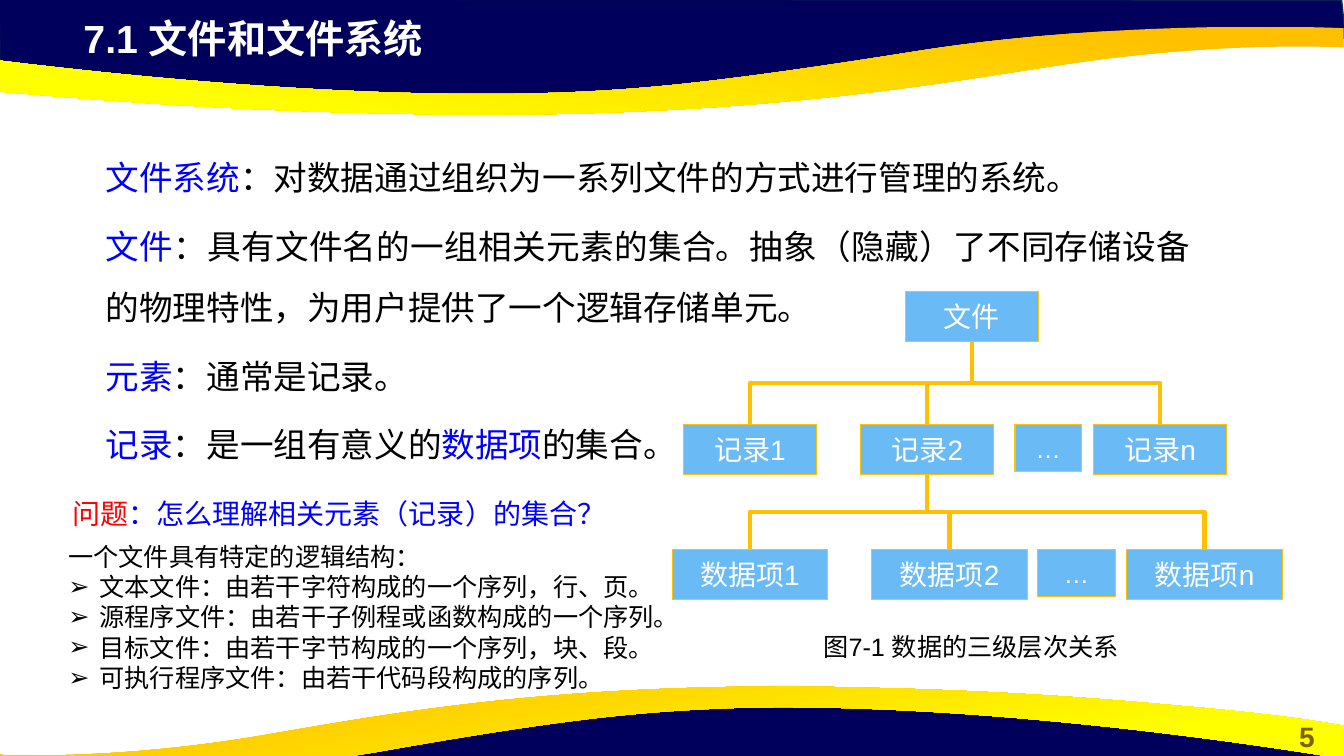
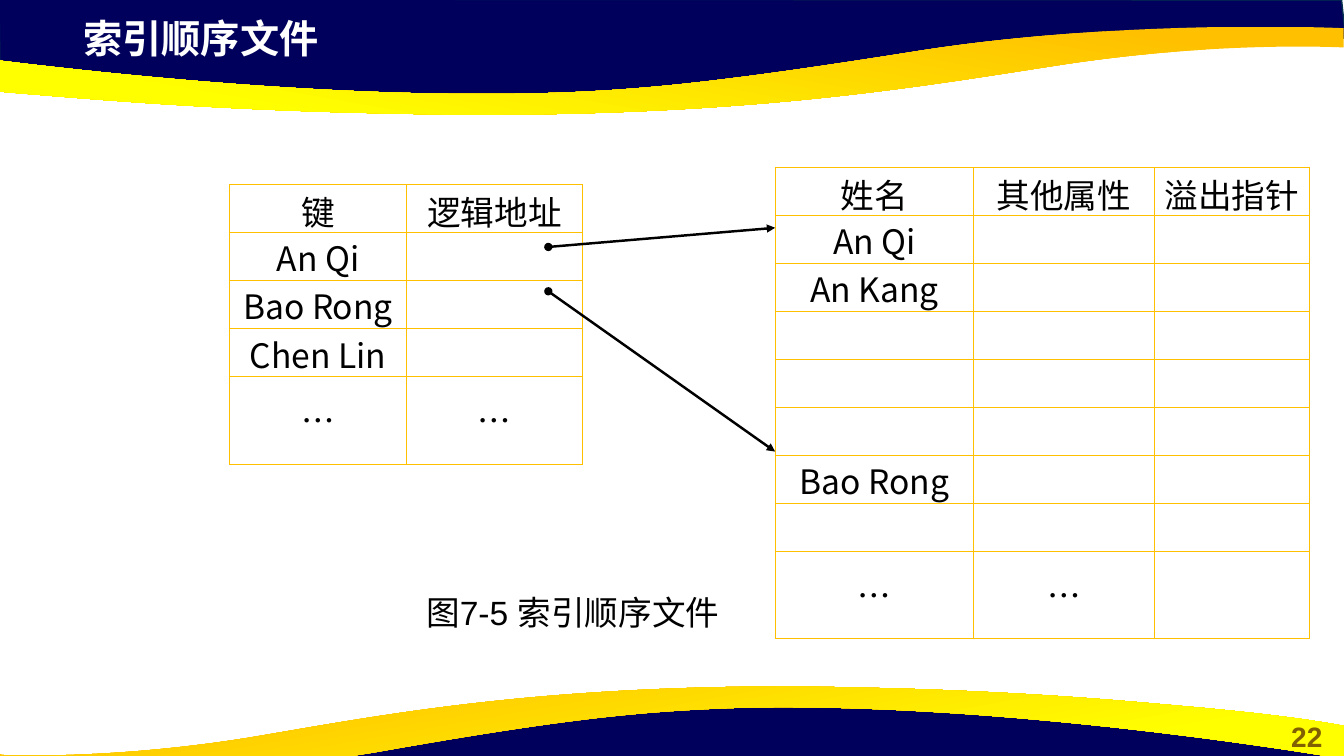
"""Build two lecture slides on files and file systems."""
from dataclasses import dataclass

from lxml.etree import SubElement
from pptx import Presentation
from pptx.dml.color import RGBColor as RGB
from pptx.enum.shapes import MSO_CONNECTOR as CONN, MSO_SHAPE as SHAPE
from pptx.enum.text import MSO_ANCHOR as ANCHOR, MSO_AUTO_SIZE as AUTO, PP_ALIGN as ALIGN
from pptx.oxml.ns import qn
from pptx.util import Pt

PX = 9144


@dataclass(frozen=True)
class Theme:
    navy: str = "00005C"
    navy_line: str = "05304F"
    gold: str = "FFC000"
    yellow: str = "FFFF00"
    node: str = "6ABBF5"
    white: str = "FFFFFF"
    black: str = "000000"
    blue: str = "0000FF"
    red: str = "FF0000"
    brown: str = "806000"
    latin: str = "Arial"
    sans: str = "Noto Sans CJK SC"
    title: int = 28
    body: int = 24
    label: int = 20
    small: int = 18


T = Theme()

NAVY_BANDS = [
    [(-1, -1), (0, 70), (293, 102), (559, 100), (795, 88), (1016, 50),
     (1238, 33), (1335, 38), (1331, 0), (-1, -1)],
    [(1333, 794), (1332, 724), (1040, 691), (773, 693), (538, 706), (317, 743),
     (95, 760), (-3, 756), (1, 793), (1333, 794)],
]
GOLD_BANDS = [
    (260, [(483, 114), (443, 114, 401, 113, 356, 112), (206, 108, 110, 100, 36, 94),
           (-88, 84, -130, 75, -133, 75), (-133, 42, -133, 42, -133, 42),
           (-133, 42, 218, 98, 517, 93), (626, 91, 708, 83, 915, 50),
           (1121, 18, 1333, 28, 1333, 28), (1333, 32), (1333, 47), (1330, 47),
           (1305, 46, 1195, 43, 1055, 64), (918, 85, 762, 113, 483, 114)]),
    (280, [(772, 681), (809, 681, 847, 682, 888, 683), (1025, 687, 1112, 695, 1179, 701),
           (1292, 711, 1330, 720, 1333, 720), (1333, 753, 1333, 753, 1333, 753),
           (1333, 753, 1014, 697, 742, 702), (642, 705, 567, 712, 380, 745),
           (192, 778, -1, 768, -1, 768), (-1, 764), (-1, 748), (2, 749),
           (25, 750, 125, 752, 252, 731), (376, 710, 519, 682, 772, 681)]),
]


def write(tf, paras, size, font=T.latin, bold=False, bullet_from=99, **fmt):
    """Fill a text frame with paragraphs of (text, colour) runs."""
    for i, runs in enumerate(paras):
        p = tf.paragraphs[0] if i == 0 else tf.add_paragraph()
        if i >= bullet_from:
            pPr = p._p.get_or_add_pPr()
            pPr.set("marL", str(31 * PX))
            pPr.set("indent", str(-31 * PX))
            SubElement(pPr, qn("a:buFont")).set("typeface", T.latin)
            SubElement(pPr, qn("a:buChar")).set("char", "➢")
        for key, val in fmt.items():
            setattr(p, key, val)
        for text, color in runs:
            r = p.add_run()
            r.text = text
            for key, val in {"size": Pt(size), "bold": bold, "name": font}.items():
                setattr(r.font, key, val)
            r.font.color.rgb = RGB.from_string(color)
            rPr = r._r.get_or_add_rPr()
            rPr.set("lang", "zh-CN")
            SubElement(rPr, qn("a:ea")).set("typeface", T.sans if text == "…" else T.latin)


def new_slide(prs, title, number, boxes):
    """Add a slide with bands, title, page number and text boxes."""
    s = prs.slides.add_slide(prs.slide_layouts[6])
    for navy, (angle, gold) in zip(NAVY_BANDS, GOLD_BANDS):
        for segs in (navy, gold):
            ends = [seg[-2:] for seg in segs]
            left, top = (min(axis) for axis in zip(*ends))
            fb = s.shapes.build_freeform(*ends[0], scale=PX)
            fb.add_line_segments(ends[1:], close=True)
            sp = fb.convert_to_shape()
            sp.shadow.inherit = False
            for step, seg in zip(list(sp._element.iter(qn("a:lnTo"))), segs[1:]):
                if len(seg) == 6:
                    bez = SubElement(step.getparent(), qn("a:cubicBezTo"))
                    for x, y in zip(seg[::2], seg[1::2]):
                        SubElement(bez, qn("a:pt"), x=str(x - left), y=str(y - top))
                    step.getparent().replace(step, bez)
            if segs is navy:
                sp.fill.solid()
                sp.fill.fore_color.rgb = RGB.from_string(T.navy)
                sp.line.color.rgb = RGB.from_string(T.navy_line)
                sp.line.width = Pt(1)
            else:
                sp.fill.gradient()
                sp.fill.gradient_angle = angle
                for stop, pos, color in zip(sp.fill.gradient_stops, (0.11, 0.78), (T.gold, T.yellow)):
                    stop.position = pos
                    stop.color.rgb = RGB.from_string(color)
                sp.line.fill.background()
    shared = [
        ((1260, 709, 73, 44), [[(number, T.brown)]], T.label, {"bold": True, "alignment": ALIGN.CENTER}),
        ((73, 9, 768, 57), [[(title, T.white)]], T.title, {"bold": True}),
    ]
    for at, paras, size, fmt in shared + boxes:
        tf = s.shapes.add_textbox(*(v * PX for v in at)).text_frame
        for key, val in {"word_wrap": True, "auto_size": AUTO.SHAPE_TO_FIT_TEXT}.items():
            setattr(tf, key, val)
        write(tf, paras, size, **fmt)
    return s


prs = Presentation()
prs.slide_width, prs.slide_height = int(1333.33 * PX), 750 * PX

definitions = [
    [("文件系统", T.blue), ("：对数据通过组织为一系列文件的方式进行管理的系统。", T.black)],
    [("文件", T.blue), ("：具有文件名的一组相关元素的集合。抽象（隐藏）了不同存储设备的物理特性，"
                      "为用户提供了一个逻辑存储单元。", T.black)],
    [("元素", T.blue), ("：通常是记录。", T.black)],
    [("记录", T.blue), ("：是一组有意义的", T.black), ("数据项", T.blue), ("的集合。", T.black)],
]
question = [[("问题", T.red), ("：怎么理解相关元素（记录）的集合？", T.blue)]]
structures = [[(line, T.black)] for line in (
    "一个文件具有特定的逻辑结构：",
    "文本文件：由若干字符构成的一个序列，行、页。",
    "源程序文件：由若干子例程或函数构成的一个序列。",
    "目标文件：由若干字节构成的一个序列，块、段。",
    "可执行程序文件：由若干代码段构成的序列。",
)]
s = new_slide(prs, "7.1 文件和文件系统", "5", [
    ((95, 131, 1096, 331), definitions, T.body,
     {"font": T.sans, "alignment": ALIGN.JUSTIFY, "line_spacing": 1.5, "space_after": Pt(6)}),
    ((807, 621, 313, 40), [[("图7-1 数据的三级层次关系", T.black)]], T.small, {}),
    ((62, 488, 567, 44), question, T.label, {}),
    ((58, 532, 606, 162), structures, T.small, {"bullet_from": 1}),
])

ROOT_Y, RECORD_Y, ITEM_Y, NODE_H = 289, 421, 545, 50
root_x, records_x, items_x = 964, (744, 920, 1151), (744, 942, 1195)
links = [(root_x, ROOT_Y + NODE_H, x, RECORD_Y) for x in records_x]
links += [(records_x[1], RECORD_Y + NODE_H, x, ITEM_Y) for x in items_x]
for x1, y1, x2, y2 in links:
    cx, cy, half_w, half_h = (x1 + x2) / 2, (y1 + y2) / 2, (y2 - y1) / 2, abs(x2 - x1) / 2
    cn = s.shapes.add_connector(CONN.ELBOW, *(int(v * PX) for v in (
        cx - half_w, cy - half_h, cx + half_w, cy + half_h)))
    xfrm = cn._element.spPr.find(qn("a:xfrm"))
    xfrm.set("rot", str((90 if x2 < x1 else 270) * 60000))
    if x2 > x1:
        xfrm.set("flipH", "1")
    cn.line.color.rgb = RGB.from_string(T.gold)
    cn.line.width = Pt(3)
    SubElement(cn._element.spPr, qn("a:effectLst"))

nodes = [("文件", root_x, ROOT_Y, 132, NODE_H, T.label)]
for name, xs, y, w in (("记录", records_x, RECORD_Y, 132), ("数据项", items_x, ITEM_Y, 154)):
    nodes += [(name + mark, x, y, w, NODE_H, T.label) for mark, x in zip("12n", xs)]
nodes += [("…", 1040, RECORD_Y, 66, 47, T.small), ("…", 1068, ITEM_Y, 77, 47, T.small)]
for text, cx, y, w, h, size in nodes:
    sp = s.shapes.add_shape(SHAPE.RECTANGLE, *(int(v * PX) for v in (cx - w / 2, y, w, h)))
    sp.shadow.inherit = False
    sp.fill.solid()
    sp.fill.fore_color.rgb = RGB.from_string(T.node)
    sp.line.color.rgb = RGB.from_string(T.gold)
    sp.line.width = Pt(0.75)
    for key, val in {"word_wrap": False, "vertical_anchor": ANCHOR.MIDDLE}.items():
        setattr(sp.text_frame, key, val)
    write(sp.text_frame, [[(text, T.white)]], size, alignment=ALIGN.CENTER)

s = new_slide(prs, "索引顺序文件", "22", [
    ((413, 582, 314, 50), [[("图7-5 索引顺序文件", T.black)]], T.body, {}),
])
LAST_ROW = 87
index_rows = [("键", "逻辑地址"), ("An Qi",), ("Bao Rong",), ("Chen Lin",), ("…", "…")]
main_rows = [("姓名", "其他属性", "溢出指针"), ("An Qi",), ("An Kang",), (), (), (),
             ("Bao Rong",), (), ("…", "…")]
tables = [
    (228, 183, 278, (175, 175), index_rows),
    (769, 166, 468, (197, 179, 154), main_rows),
]
for x, y, h, widths, rows in tables:
    last = len(rows) - 1
    tbl = s.shapes.add_table(len(rows), len(widths), x * PX, y * PX, sum(widths) * PX, h * PX).table
    for key, val in {"first_row": False, "horz_banding": False}.items():
        setattr(tbl, key, val)
    for col, w in zip(tbl.columns, widths):
        col.width = w * PX
    for i, row in enumerate(tbl.rows):
        row.height = LAST_ROW * PX if i == last else (h - LAST_ROW) * PX // last
        for j, cell in enumerate(row.cells):
            tcPr = cell._tc.get_or_add_tcPr()
            for side in ("a:lnL", "a:lnR", "a:lnT", "a:lnB"):
                ln = SubElement(tcPr, qn(side), w=str(Pt(1)))
                SubElement(SubElement(ln, qn("a:solidFill")), qn("a:srgbClr")).set("val", T.gold)
            cell.fill.background()
            anchor = ANCHOR.MIDDLE if i == last else ANCHOR.BOTTOM
            for key, val in {"margin_top": 0, "margin_bottom": 0, "vertical_anchor": anchor}.items():
                setattr(cell, key, val)
            if j < len(rows[i]):
                write(cell.text_frame, [[(rows[i][j], T.black)]], T.body, T.sans,
                      alignment=ALIGN.CENTER, line_spacing=0.9)

for ends in ((544, 245, 769, 226), (544, 289, 769, 448)):
    cn = s.shapes.add_connector(CONN.STRAIGHT, *(v * PX for v in ends))
    cn.line.color.rgb = RGB.from_string(T.black)
    cn.line.width = Pt(1.75)
    ln = cn.line._get_or_add_ln()
    for tag, kind in (("a:headEnd", "oval"), ("a:tailEnd", "triangle")):
        SubElement(ln, qn(tag)).set("type", kind)
    SubElement(cn._element.spPr, qn("a:effectLst"))

prs.save("out.pptx")
